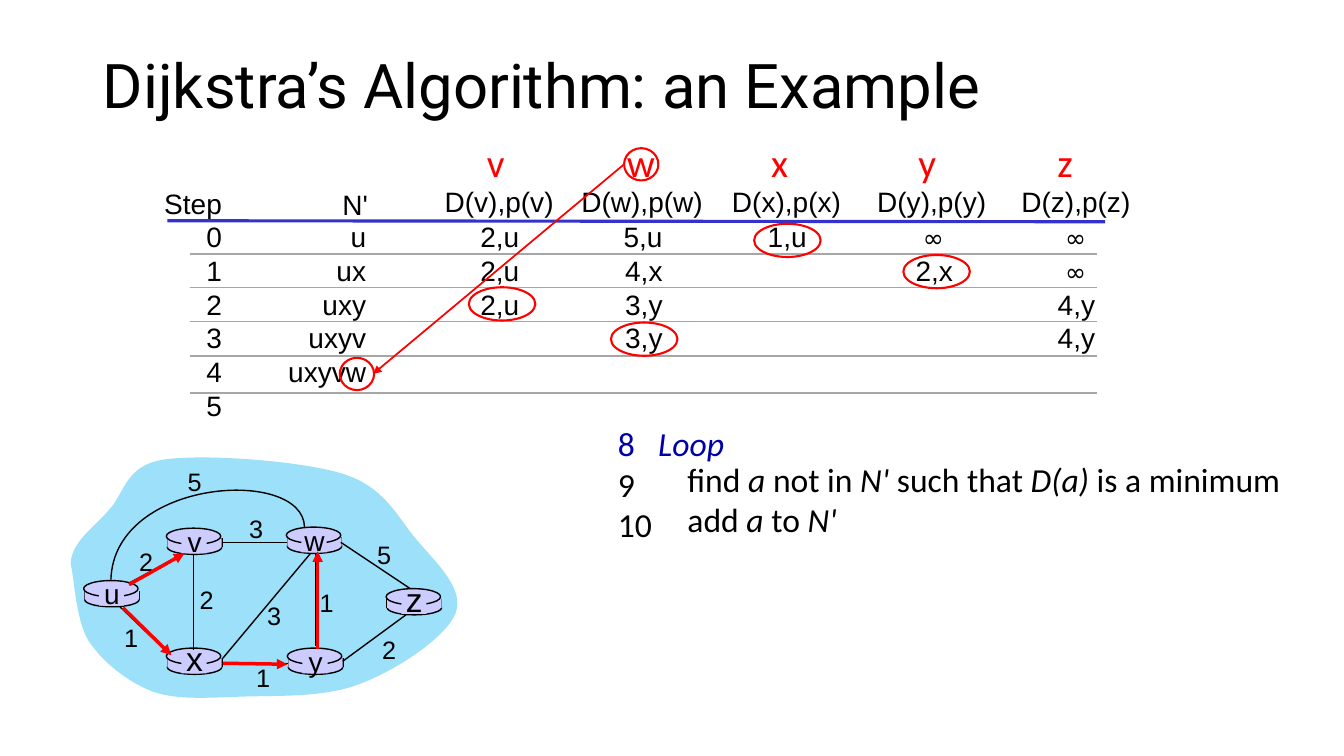
"""Build a slide that traces Dijkstra's algorithm on a six-node network."""
from lxml import etree
from pptx import Presentation
from pptx import util as u
from pptx.dml import color
from pptx.enum import shapes, text
from pptx.oxml import ns

TITLE = "Dijkstra’s Algorithm: an Example"
STEPS = ["Step", "0", "1", "2", "3", "4", "5"]
VISITED = [("u", 0.36), ("ux", 0.5), ("uxy", 0.64), ("uxyv", 0.78), ("uxyvw", 0.98)]
VISITED_RIGHT = 3.73
# letter, left and width of the letter, left and width of the header, right edge of cells, values
COLUMNS = [
    ("v", 4.73, 0.38, 4.3, 1.29, 5.25, ["2,u", "2,u", "2,u"]),
    ("w", 6.12, 0.48, 5.65, 1.42, 6.67, ["5,u", "4,x", "3,y", "3,y"]),
    ("x", 7.55, 0.37, 7.15, 1.29, 8.1, ["1,u"]),
    ("y", 9.01, 0.38, 8.59, 1.29, 9.55, ["∞", "2,x"]),
    ("z", 10.39, 0.36, 10.02, 1.29, 10.96, ["∞", "∞", "4,y", "4,y"]),
]
RULES = [2.52, 2.85, 3.19, 3.53, 3.9]
CHOSEN_CELLS = [(7.48, 2.22), (8.96, 2.53), (4.65, 2.85), (6.06, 3.2)]
CHOSEN_NODE = [(6.19, 1.47), (3.37, 3.55)]
LOOP_NUMBERS = [[("8\t", {"fill": "0000A8"}), ("Loop", {"fill": "0000A8", "italic": True})], "9", "10"]
ITALIC = {"italic": True}
LOOP_BODY = [
    [("find ", {}), ("a", ITALIC), (" not in ", {}), ("N' ", ITALIC),
     ("such that ", {}), ("D(a) ", ITALIC), ("is a minimum", {})],
    [("add ", {}), ("a", ITALIC), (" to ", {}), ("N'", ITALIC)],
]
CLOUD = [
    (0.7, 5.59), (0.71, 5.38), (0.93, 5.23), (1.08, 5.06), (1.24, 4.89), (1.24, 4.62),
    (1.62, 4.56), (2.01, 4.5), (2.98, 4.57), (3.4, 4.7), (3.81, 4.83), (3.93, 5.11),
    (4.12, 5.34), (4.31, 5.57), (4.61, 5.83), (4.52, 6.08), (4.43, 6.32), (3.93, 6.65),
    (3.58, 6.78), (3.24, 6.92), (2.77, 6.9), (2.43, 6.91), (2.08, 6.92), (1.77, 6.95),
    (1.51, 6.86), (1.26, 6.76), (1.02, 6.57), (0.88, 6.36), (0.75, 6.15), (0.74, 5.75),
    (0.7, 5.59),
]
OUTER_LINK = [(3.02, 5.23), (3.01, 4.63), (1.13, 4.74), (1.1, 5.75)]
ROUTERS = [("u", 0.83, 5.76, 20), ("x", 1.65, 6.43, 24), ("v", 1.65, 5.24, 20),
           ("w", 2.84, 5.23, 20), ("y", 2.85, 6.43, 20), ("z", 3.83, 5.84, 24)]
LINKS = [
    ((1.29, 5.78), (1.88, 5.46)), ((3.13, 5.5), (3.13, 6.41)), ((1.92, 5.51), (1.92, 6.45)),
    ((2.21, 6.53), (3.08, 5.49)), ((3.4, 6.56), (4.04, 6.09)), ((2.86, 6.58), (2.22, 6.58)),
    ((1.67, 6.48), (1.19, 6.02)), ((2.85, 5.38), (2.21, 5.38)), ((4.07, 5.84), (3.38, 5.38)),
]
COSTS = [("2", 1.28, 5.37), ("2", 1.88, 5.75), ("1", 1.13, 6.12), ("3", 2.55, 5.91),
         ("1", 2.44, 6.52), ("1", 3.07, 5.78), ("2", 3.69, 6.24), ("5", 3.64, 5.3),
         ("3", 2.37, 5.04), ("5", 1.76, 4.58)]
TREE_LINKS = [((1.22, 6.03), (1.7, 6.5)), ((2.21, 6.58), (2.85, 6.59)),
              ((1.28, 5.8), (1.83, 5.49)), ((3.15, 6.44), (3.15, 5.47))]
BLACK, RED, LILAC = "000000", "FF0000", "CCCCFF"
LEFT, CENTER, RIGHT = text.PP_ALIGN.LEFT, text.PP_ALIGN.CENTER, text.PP_ALIGN.RIGHT
OVAL, BOX = shapes.MSO_SHAPE.OVAL, shapes.MSO_SHAPE.RECTANGLE


def inch(value):
    return u.Cm(value * 2.54)


def rgb(value):
    return color.RGBColor.from_string(value)


def write(frame, paragraphs, size=20, font="Arial", fill=BLACK, align=LEFT, spacing=None):
    for index, runs in enumerate(paragraphs):
        paragraph = frame.paragraphs[0] if index == 0 else frame.add_paragraph()
        paragraph.alignment = align
        if spacing:
            paragraph.line_spacing = spacing
        for words, style in [(runs, {})] if isinstance(runs, str) else runs:
            run = paragraph.add_run()
            run.text = words
            run.font.size, run.font.name = u.Pt(size), font
            run.font.italic = style.get("italic", False)
            run.font.color.rgb = rgb(style.get("fill", fill))


def add_text(slide, paragraphs, left, top, width, height=0.44, **style):
    shape = slide.shapes.add_textbox(inch(left), inch(top), inch(width), inch(height))
    shape.text_frame.word_wrap = False
    shape.text_frame.auto_size = text.MSO_AUTO_SIZE.SHAPE_TO_FIT_TEXT
    write(shape.text_frame, paragraphs, **style)
    return shape


def paint(shape, fill=None, line=None, weight=1):
    shape.shadow.inherit = False
    if fill:
        shape.fill.solid()
        shape.fill.fore_color.rgb = rgb(fill)
    else:
        shape.fill.background()
    if line:
        shape.line.color.rgb = rgb(line)
        shape.line.width = u.Pt(weight)
    else:
        shape.line.fill.background()


def add_shape(slide, kind, left, top, width, height, **look):
    shape = slide.shapes.add_shape(kind, inch(left), inch(top), inch(width), inch(height))
    paint(shape, **look)


def add_line(slide, start, end, line=BLACK, weight=1, arrow=False):
    connector = slide.shapes.add_connector(
        shapes.MSO_CONNECTOR.STRAIGHT, *[inch(value) for value in (*start, *end)])
    connector.line.color.rgb = rgb(line)
    connector.line.width = u.Pt(weight)
    if arrow:
        etree.SubElement(connector.line._get_or_add_ln(), ns.qn("a:tailEnd"), type="triangle")
    etree.SubElement(connector._element.spPr, ns.qn("a:effectLst"))


def add_curve(slide, points, close, **look):
    places = [(inch(x), inch(y)) for x, y in points]
    builder = slide.shapes.build_freeform(*places[0])
    builder.add_line_segments(places[1:], close=close)
    shape = builder.convert_to_shape()
    segments = list(shape._element.iter(ns.qn("a:lnTo")))
    for first in range(0, len(points) - 1, 3):
        curve = etree.Element(ns.qn("a:cubicBezTo"))
        segments[first].addprevious(curve)
        for segment in segments[first:first + 3]:
            curve.append(segment[0])
            segment.getparent().remove(segment)
    paint(shape, **look)


def add_table_text(slide):
    add_text(slide, STEPS, 1.53, 1.8, 0.77, 2.43, align=RIGHT)
    add_text(slide, ["N'"], 3.29, 1.81, 0.46, align=RIGHT)
    add_line(slide, (1.66, 2.19), (10.96, 2.2), "3333CC", 2.25)
    for y in RULES:
        add_line(slide, (1.88, y), (10.88, y), "A6A6A6")
    tops = [2.13 + 0.335 * row for row in range(len(VISITED))]
    for top, (nodes, width) in zip(tops, VISITED):
        add_text(slide, [nodes], VISITED_RIGHT - width, top, width, align=RIGHT)
    for letter, letter_left, letter_width, header_left, header_width, right, values in COLUMNS:
        add_text(slide, [letter], letter_left, 1.32, letter_width, 0.57,
                 size=28, font="Calibri", fill=RED)
        add_text(slide, [f"D({letter}),p({letter})"], header_left, 1.785, header_width, align=RIGHT)
        for top, value in zip(tops, values):
            if value == "∞":
                add_text(slide, [value], right - 0.5, top + 0.03, 0.41, 0.4,
                         size=18, font="Comic Neue", align=RIGHT)
            else:
                add_text(slide, [value], right - 0.59, top, 0.59, align=RIGHT)


def add_marks(slide):
    for left, top in CHOSEN_CELLS:
        add_shape(slide, OVAL, left, top, 0.66, 0.33, line=RED, weight=1.5)
    for left, top in CHOSEN_NODE:
        add_shape(slide, OVAL, left, top, 0.34, 0.32, line=RED, weight=1.5)
    add_line(slide, (6.19, 1.63), (3.7, 3.71), RED, 1.25, arrow=True)


def add_network(slide):
    add_curve(slide, CLOUD, True, fill="9CE0FA")
    for _, x, y, _ in ROUTERS:
        add_shape(slide, OVAL, x + 0.01, y + 0.12, 0.54, 0.14, fill=LILAC, line=BLACK)
        for side in (x + 0.01, x + 0.55):
            add_line(slide, (side, y + 0.1), (side, y + 0.19))
        add_shape(slide, BOX, x + 0.01, y + 0.1, 0.54, 0.09, fill=LILAC)
        add_shape(slide, OVAL, x, y, 0.54, 0.16, fill=LILAC, line=BLACK)
    for start, end in LINKS:
        add_line(slide, start, end)
    add_curve(slide, OUTER_LINK, False, line=BLACK)
    for name, x, y, size in ROUTERS:
        add_shape(slide, BOX, x + 0.15, y + 0.02, 0.25, 0.23, fill=LILAC)
        lift = 0.15 if size == 24 else 0.09
        add_text(slide, [name], x + 0.08, y - lift, 0.4, size=size, align=CENTER)
    for cost, left, top in COSTS:
        add_text(slide, [cost], left, top, 0.34, 0.4, size=18, align=CENTER)
    for start, end in TREE_LINKS:
        add_line(slide, start, end, RED, 2.5, arrow=True)


def add_loop(slide):
    numbers = add_text(slide, LOOP_NUMBERS, 6.03, 4.15, 1.34, 1.31, size=24, font="Calibri")
    properties = numbers.text_frame.paragraphs[0]._p.get_or_add_pPr()
    tabs = etree.SubElement(properties, ns.qn("a:tabLst"))
    etree.SubElement(tabs, ns.qn("a:tab"), pos=str(inch(0.4)), algn="l")
    add_text(slide, LOOP_BODY, 6.72, 4.5, 6.34, 0.9, size=24, font="Calibri")


def main():
    presentation = Presentation()
    presentation.slide_width, presentation.slide_height = inch(13.33), inch(7.5)
    slide = presentation.slides.add_slide(presentation.slide_layouts[5])
    title = slide.shapes.title
    title.left, title.top, title.width, title.height = map(inch, (0.92, 0.39, 12.23, 0.98))
    title.text_frame.auto_size = text.MSO_AUTO_SIZE.NONE
    title.text_frame.vertical_anchor = text.MSO_ANCHOR.MIDDLE
    write(title.text_frame, [TITLE], size=44, font="Roboto", spacing=0.9)
    add_table_text(slide)
    add_loop(slide)
    add_network(slide)
    add_marks(slide)
    presentation.save("out.pptx")


if __name__ == "__main__":
    main()
